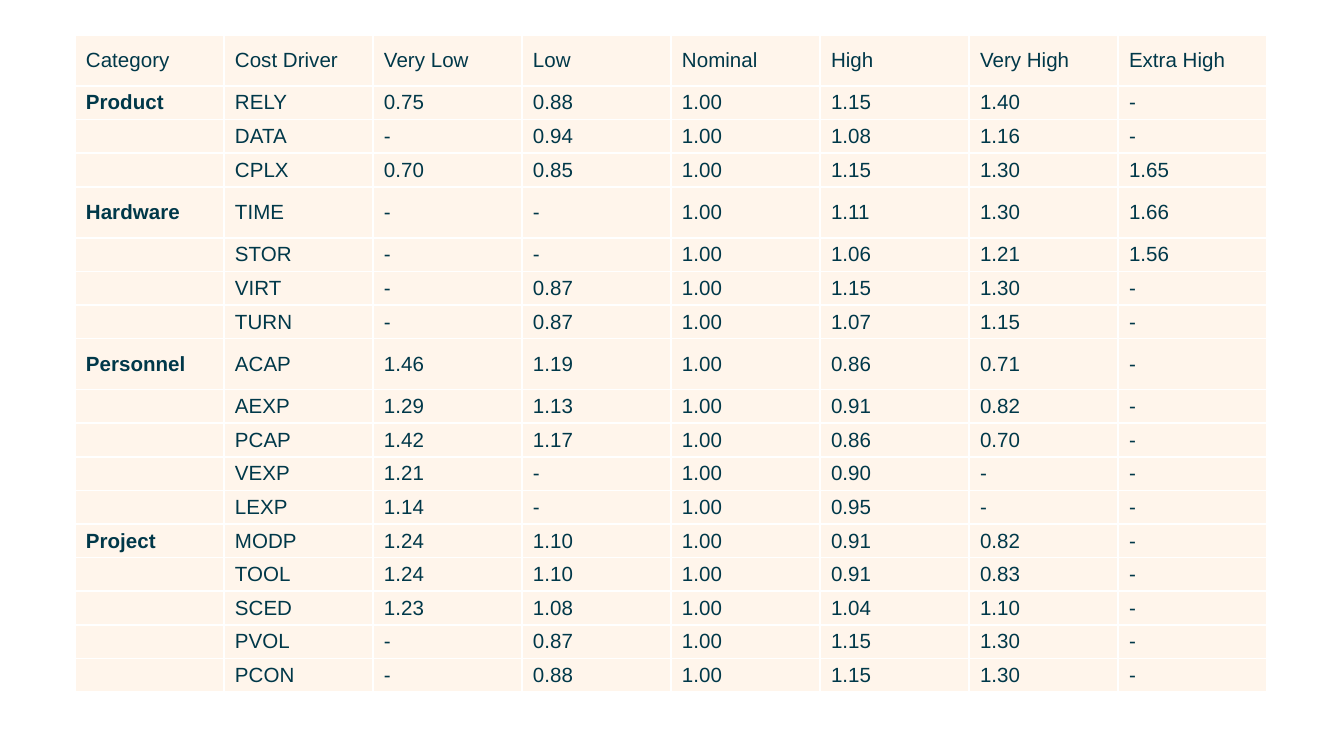
from dataclasses import dataclass

from lxml.etree import SubElement
from pptx import Presentation
from pptx.dml.color import RGBColor
from pptx.enum.text import MSO_ANCHOR
from pptx.oxml.ns import qn
from pptx.util import Inches, Pt


@dataclass(frozen=True)
class Theme:
    font: str = "Arial"
    size: int = 11
    ink: str = "003849"
    cell: str = "FFF5EB"
    border: str = "FFFFFF"
    border_width: int = 1


THEME = Theme()
TALL_ROW, SHORT_ROW = 0.38, 0.25
TALL_LABELS = {"Category", "Hardware", "Personnel"}

HEADER = ["Category", "Cost Driver", "Very Low", "Low", "Nominal", "High", "Very High", "Extra High"]
DRIVERS = {
    "Product": [
        "RELY 0.75 0.88 1.00 1.15 1.40 -",
        "DATA - 0.94 1.00 1.08 1.16 -",
        "CPLX 0.70 0.85 1.00 1.15 1.30 1.65",
    ],
    "Hardware": [
        "TIME - - 1.00 1.11 1.30 1.66",
        "STOR - - 1.00 1.06 1.21 1.56",
        "VIRT - 0.87 1.00 1.15 1.30 -",
        "TURN - 0.87 1.00 1.07 1.15 -",
    ],
    "Personnel": [
        "ACAP 1.46 1.19 1.00 0.86 0.71 -",
        "AEXP 1.29 1.13 1.00 0.91 0.82 -",
        "PCAP 1.42 1.17 1.00 0.86 0.70 -",
        "VEXP 1.21 - 1.00 0.90 - -",
        "LEXP 1.14 - 1.00 0.95 - -",
    ],
    "Project": [
        "MODP 1.24 1.10 1.00 0.91 0.82 -",
        "TOOL 1.24 1.10 1.00 0.91 0.83 -",
        "SCED 1.23 1.08 1.00 1.04 1.10 -",
        "PVOL - 0.87 1.00 1.15 1.30 -",
        "PCON - 0.88 1.00 1.15 1.30 -",
    ],
}


def table_rows():
    """Header row, then each driver row, with the category named only on its first row."""
    rows = [HEADER]
    for category, drivers in DRIVERS.items():
        for index, driver in enumerate(drivers):
            rows.append([category if index == 0 else "", *driver.split()])
    return rows


def add_borders(cell):
    properties = cell._tc.get_or_add_tcPr()
    for side in ("a:lnL", "a:lnR", "a:lnT", "a:lnB"):
        line = SubElement(properties, qn(side), w=str(Pt(THEME.border_width)))
        fill = SubElement(line, qn("a:solidFill"))
        SubElement(fill, qn("a:srgbClr"), val=THEME.border)


def keep_empty_cell_small(paragraph):
    """Give an empty paragraph the table's font, so that it does not stretch its row."""
    end = SubElement(paragraph._p, qn("a:endParaRPr"), sz=str(THEME.size * 100))
    SubElement(end, qn("a:latin"), typeface=THEME.font)


def write_cell(cell, text, *, bold=False):
    add_borders(cell)
    cell.fill.solid()
    cell.fill.fore_color.rgb = RGBColor.from_string(THEME.cell)
    cell.vertical_anchor = MSO_ANCHOR.MIDDLE
    cell.margin_left = cell.margin_right = Inches(0.08)
    cell.margin_top = cell.margin_bottom = Inches(0.04)
    paragraph = cell.text_frame.paragraphs[0]
    if not text:
        keep_empty_cell_small(paragraph)
        return
    run = paragraph.add_run()
    run.text = text
    run.font.name = THEME.font
    run.font.size = Pt(THEME.size)
    run.font.bold = bold
    run.font.color.rgb = RGBColor.from_string(THEME.ink)


def add_cost_driver_table(slide, left, top, width):
    rows = table_rows()
    heights = [TALL_ROW if row[0] in TALL_LABELS else SHORT_ROW for row in rows]
    frame = slide.shapes.add_table(
        len(rows), len(HEADER), Inches(left), Inches(top), Inches(width), Inches(sum(heights))
    )
    table = frame.table
    table.horz_banding = False
    table.first_row = False
    for column in table.columns:
        column.width = Inches(width / len(HEADER))
    for row_index, (values, height) in enumerate(zip(rows, heights)):
        table.rows[row_index].height = Inches(height)
        for column_index, value in enumerate(values):
            is_category = row_index > 0 and column_index == 0
            write_cell(table.cell(row_index, column_index), value, bold=is_category)


def main():
    presentation = Presentation()
    presentation.slide_width = Inches(10)
    presentation.slide_height = presentation.slide_width * 9 // 16
    slide = presentation.slides.add_slide(presentation.slide_layouts[6])
    add_cost_driver_table(slide, left=0.56, top=0.26, width=8.87)
    presentation.save("out.pptx")


if __name__ == "__main__":
    main()
